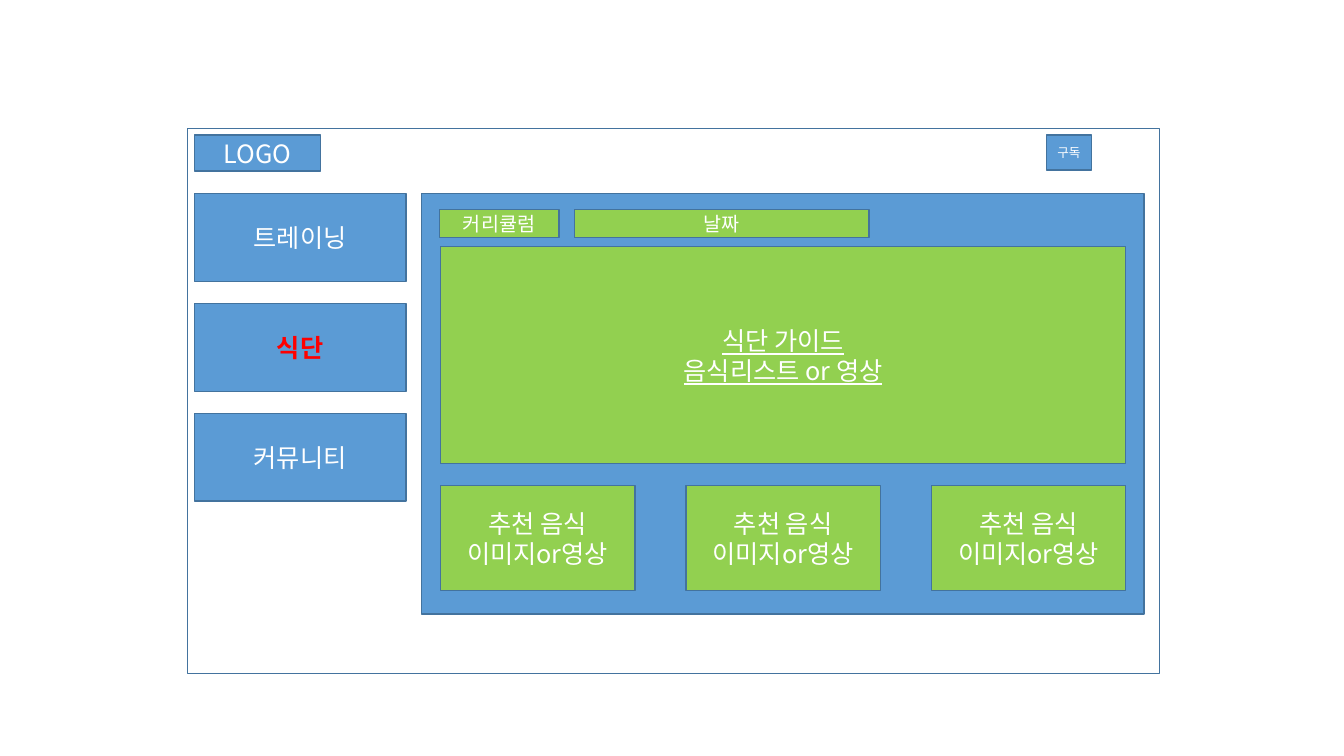
from lxml.etree import SubElement
from pptx import Presentation
from pptx.dml.color import RGBColor
from pptx.enum.shapes import MSO_SHAPE
from pptx.enum.text import MSO_ANCHOR, PP_ALIGN
from pptx.oxml.ns import qn
from pptx.util import Cm, Pt

COLORS = {
    "white": "FFFFFF",
    "blue": "5B9BD5",
    "green": "92D050",
    "border": "43739E",
    "red": "FF0000",
}
FONT = "Noto Sans CJK KR"
FRAME_FORMAT = {
    "margin_left": 0,
    "margin_right": 0,
    "margin_top": 0,
    "margin_bottom": 0,
    "word_wrap": True,
    "vertical_anchor": MSO_ANCHOR.MIDDLE,
}


def color(name):
    return RGBColor.from_string(COLORS[name])


def add_label(box, text, size=18, ink="white", **extra):
    for name, value in FRAME_FORMAT.items():
        setattr(box.text_frame, name, value)
    para = box.text_frame.paragraphs[0]
    para.alignment = PP_ALIGN.CENTER
    for index, line in enumerate(text.split("\n")):
        if index:
            para.add_line_break()
        span = para.add_run()
        span.text = line
        font_format = {"name": FONT, "size": Pt(size), **extra}
        for name, value in font_format.items():
            setattr(span.font, name, value)
        span.font.color.rgb = color(ink)
        SubElement(span.font._element, qn("a:ea"), typeface=FONT)


def add_block(shapes, area, fill, text="", border=1, **text_format):
    box = shapes.add_shape(MSO_SHAPE.RECTANGLE, *(Cm(length) for length in area))
    box.shadow.inherit = False
    box.fill.solid()
    box.fill.fore_color.rgb = color(fill)
    box.line.color.rgb = color("border")
    box.line.width = Pt(border)
    if text:
        add_label(box, text, **text_format)


def add_menu(shapes, left, top, width, height):
    item_height = 2.21
    pitch = (height - item_height) / 2
    items = [
        ("트레이닝", {}),
        ("식단", {"ink": "red", "bold": True}),
        ("커뮤니티", {}),
    ]
    for index, (text, text_format) in enumerate(items):
        area = (left, top + index * pitch, width, item_height)
        add_block(shapes, area, "blue", text, **text_format)


def add_diet_panel(shapes, left, top, width, height):
    add_block(shapes, (left, top, width, height), "blue")
    inner_left, inner_width = left + 0.48, width - 0.94
    add_block(shapes, (inner_left, top + 1.34, inner_width, 5.46), "green",
              "식단 가이드\n음식리스트 or 영상", underline=True)

    card_width = 4.9
    pitch = (inner_width - card_width) / 2
    for index in range(3):
        area = (inner_left + index * pitch, top + 7.36, card_width, 2.64)
        add_block(shapes, area, "green", "추천 음식\n이미지or영상")

    for text, offset, tab_width in [("커리큘럼", 0.45, 3.02), ("날짜", 3.86, 7.42)]:
        area = (left + offset, top + 0.4, tab_width, 0.71)
        add_block(shapes, area, "green", text, size=14)


def add_wireframe(page, left, top, width, height):
    shapes = page.shapes.add_group_shape().shapes
    add_block(shapes, (left, top, width, height), "white", border=0.25)
    add_block(shapes, (left + 0.18, top + 0.17, 3.18, 0.91), "blue", "LOGO")
    add_menu(shapes, left + 0.18, top + 1.65, 5.33, 7.75)
    add_diet_panel(shapes, left + 5.9, top + 1.65, 18.21, 10.59)
    add_block(page.shapes, (left + 21.65, top + 0.17, 1.14, 0.89), "blue",
              "구독", size=9)


def main():
    deck = Presentation()
    deck.slide_width, deck.slide_height = Cm(33.87), Cm(19.05)
    page = deck.slides.add_slide(deck.slide_layouts[6])
    add_wireframe(page, 4.72, 3.23, 24.49, 13.74)
    deck.save("out.pptx")


if __name__ == "__main__":
    main()
